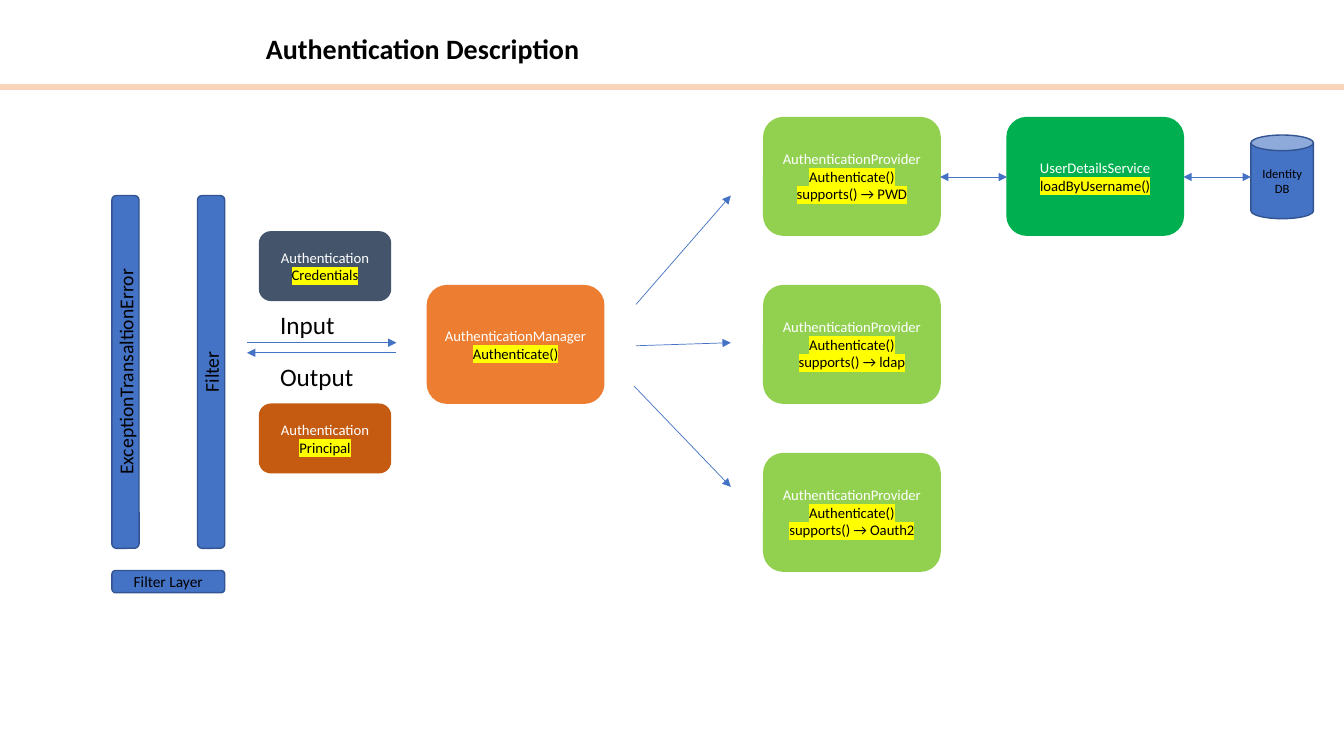
from dataclasses import dataclass

from lxml.etree import SubElement
from pptx import Presentation
from pptx.dml.color import RGBColor
from pptx.enum.shapes import MSO_CONNECTOR, MSO_SHAPE
from pptx.enum.text import MSO_ANCHOR, PP_ALIGN
from pptx.oxml import parse_xml
from pptx.oxml.ns import nsdecls, qn
from pptx.util import Inches, Pt


@dataclass(frozen=True)
class Theme:
    font: str = "Calibri"
    black: str = "000000"
    white: str = "FFFFFF"
    mark: str = "FFFF00"
    peach: str = "F8D4BA"
    blue: str = "4472C4"
    navy: str = "325491"
    orange: str = "ED7D31"
    rust: str = "C55A11"
    slate: str = "44546A"
    lime: str = "92D050"
    green: str = "00B050"
    title: float = 20
    flow: float = 18
    bar: float = 14
    layer: float = 11
    card: float = 10.5
    store: float = 9


THEME = Theme()
COLS, ROWS = 80, 45
WIDTH, HEIGHT = Inches(13.333), Inches(7.5)
CARD = (10.5, 7)      # large card, in columns and rows
TOKEN = (7.8, 4.08)   # small card


def grid(x, y):
    """Turn columns and rows into slide lengths."""
    return int(WIDTH * x / COLS), int(HEIGHT * y / ROWS)


def write(frame, lines, size, color=THEME.black, bold=False, mark=False,
          align=PP_ALIGN.CENTER, anchor=MSO_ANCHOR.MIDDLE, turn=False):
    """Fill a text frame; with mark, all lines after the first are highlighted."""
    frame.word_wrap = True
    frame.vertical_anchor = anchor
    if turn:
        frame._txBody.bodyPr.set("vert", "vert270")
    for i, line in enumerate(lines):
        para = frame.add_paragraph() if i else frame.paragraphs[0]
        para.alignment = align
        run = para.add_run()
        run.text = line
        font = run.font
        font.name, font.size, font.bold = THEME.font, Pt(size), bold
        lit = mark and i > 0
        font.color.rgb = RGBColor.from_string(THEME.black if lit else color)
        if lit:
            glow = parse_xml(f'<a:highlight {nsdecls("a")}>'
                             f'<a:srgbClr val="{THEME.mark}"/></a:highlight>')
            run._r.rPr.find(qn("a:solidFill")).addnext(glow)


def box(slide, spot, size, fill, edge=None, kind=MSO_SHAPE.ROUNDED_RECTANGLE):
    shape = slide.shapes.add_shape(kind, *grid(*spot), *grid(*size))
    shape.shadow.inherit = False
    shape.fill.solid()
    shape.fill.fore_color.rgb = RGBColor.from_string(fill)
    shape.line.color.rgb = RGBColor.from_string(edge or fill)
    shape.line.width = Pt(1)
    return shape


def card(slide, spot, size, fill, *lines):
    shape = box(slide, spot, size, fill)
    write(shape.text_frame, lines, THEME.card, color=THEME.white, mark=True)


def block(slide, spot, size, text, points, kind=MSO_SHAPE.ROUNDED_RECTANGLE,
          turn=False):
    shape = box(slide, spot, size, THEME.blue, THEME.navy, kind)
    write(shape.text_frame, [text], points, turn=turn)


def label(slide, spot, size, text, points, **style):
    frame = slide.shapes.add_textbox(*grid(*spot), *grid(*size)).text_frame
    write(frame, [text], points, align=PP_ALIGN.LEFT, **style)


def arrow(slide, start, end, both=False):
    link = slide.shapes.add_connector(MSO_CONNECTOR.STRAIGHT,
                                      *grid(*start), *grid(*end))
    link.line.color.rgb = RGBColor.from_string(THEME.blue)
    link.line.width = Pt(0.5)
    line = link.line._get_or_add_ln()
    for tip in ("a:headEnd", "a:tailEnd") if both else ("a:tailEnd",):
        SubElement(line, qn(tip), type="triangle")
    SubElement(link._element.spPr, qn("a:effectLst"))


def main():
    deck = Presentation()
    deck.slide_width, deck.slide_height = WIDTH, HEIGHT
    slide = deck.slides.add_slide(deck.slide_layouts[6])

    # Title and rule
    label(slide, (15.24, 1.62), (59.28, 2.52), "Authentication Description",
          THEME.title, bold=True, anchor=MSO_ANCHOR.BOTTOM)
    box(slide, (0, 5.04), (COLS, 0.3), THEME.peach, kind=MSO_SHAPE.RECTANGLE)

    # Filter layer
    for x, text in ((6.66, "ExceptionTransaltionError"), (11.76, "Filter")):
        block(slide, (x, 11.64), (1.62, 21), text, THEME.bar, turn=True)
    block(slide, (6.66, 33.96), (6.72, 1.32), "Filter Layer", THEME.layer)

    # Input and output of the manager
    card(slide, (25.44, 17), CARD, THEME.orange,
         "AuthenticationManager", "Authenticate()")
    arrow(slide, (14.7, 20.4), (23.6, 20.4))
    arrow(slide, (23.6, 21), (14.7, 21))
    for y, text in ((18.12, "Input"), (21.24, "Output")):
        label(slide, (16.08, y), (5.7, 2.4), text, THEME.flow,
              anchor=MSO_ANCHOR.TOP)
    for y, fill, text in ((13.8, THEME.slate, "Credentials"),
                          (24.06, THEME.rust, "Principal")):
        card(slide, (15.45, y), TOKEN, fill, "Authentication", text)

    # Providers
    for i, name in enumerate(("PWD", "ldap", "Oauth2")):
        card(slide, (45.46, 7 + 10 * i), CARD, THEME.lime,
             "AuthenticationProvider", "Authenticate()", f"supports() → {name}")
    for start, y in (((37.86, 18.12), 11.64), ((37.86, 20.58), 20.4),
                     ((37.74, 22.98), 28.98)):
        arrow(slide, start, (43.5, y))

    # User service and identity store
    card(slide, (59.94, 7), CARD, THEME.green,
         "UserDetailsService", "loadByUsername()")
    block(slide, (74.46, 8.04), (3.72, 4.98), "Identity DB", THEME.store,
          kind=MSO_SHAPE.CAN)
    for right, left in ((74.46, 70.44), (59.94, 55.96)):
        arrow(slide, (right, 10.54), (left, 10.54), both=True)

    deck.save("out.pptx")


if __name__ == "__main__":
    main()
